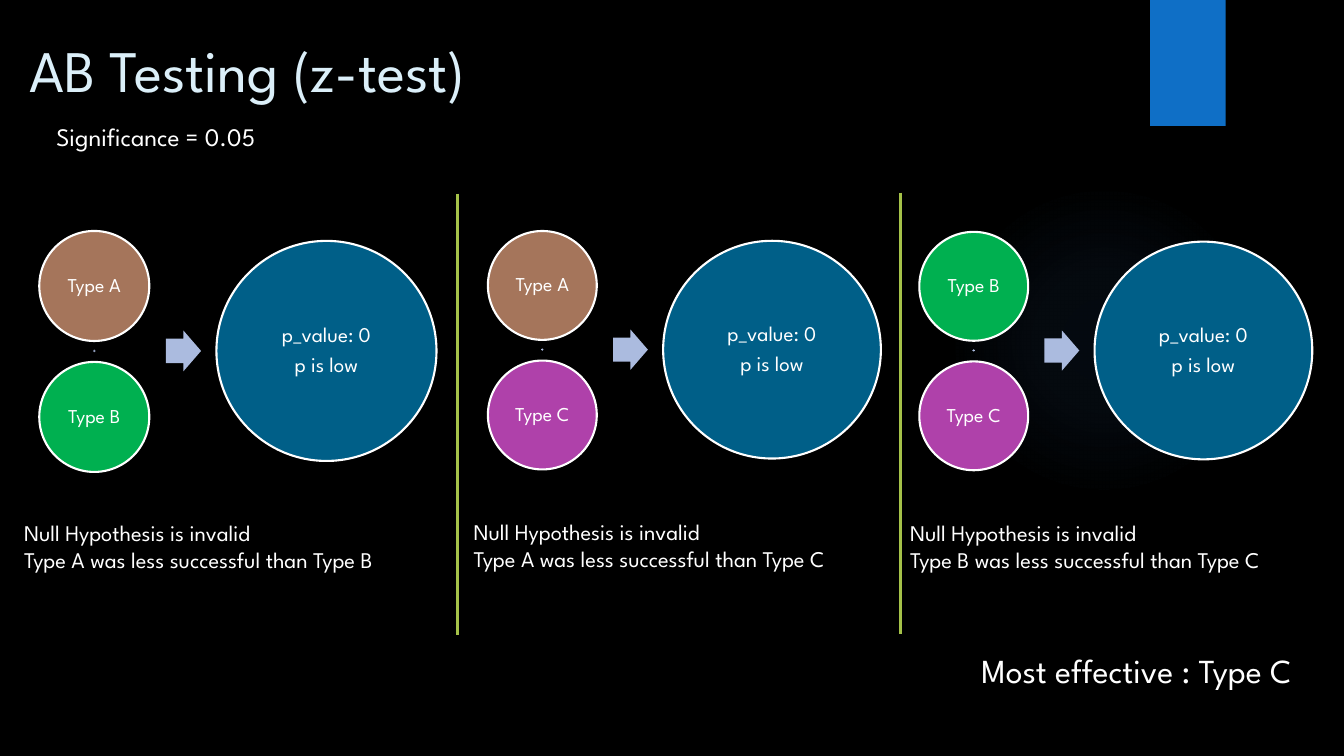
from dataclasses import dataclass

import pptx
import pptx.dml.color
import pptx.enum.shapes
import pptx.enum.text
import pptx.oxml
import pptx.oxml.ns
import pptx.presentation
import pptx.shapes.autoshape
import pptx.slide
import pptx.text.text
import pptx.util

RGBColor = pptx.dml.color.RGBColor
Shape = pptx.enum.shapes.MSO_SHAPE
Align = pptx.enum.text.PP_ALIGN
Anchor = pptx.enum.text.MSO_ANCHOR

# Square grid of 160 columns by 90 rows
COLUMNS, ROWS = 160, 90
CELL = pptx.util.Inches(13.33) / COLUMNS

FONT = "League Spartan"
BLACK = RGBColor(0x00, 0x00, 0x00)
WHITE = RGBColor(0xFF, 0xFF, 0xFF)
TITLE_BLUE = RGBColor(0xDB, 0xEF, 0xF9)
TAB_BLUE = RGBColor(0x0F, 0x6F, 0xC6)
GLOW_BLUE = RGBColor(0x44, 0x8A, 0xD7)
RESULT_BLUE = RGBColor(0x00, 0x5F, 0x88)
LAVENDER = RGBColor(0xAB, 0xBB, 0xDF)
LIME = RGBColor(0xA5, 0xC2, 0x49)
TYPE_COLORS = {
    "Type A": RGBColor(0xA5, 0x75, 0x5B),
    "Type B": RGBColor(0x00, 0xB0, 0x50),
    "Type C": RGBColor(0xAF, 0x41, 0xAA),
}


@dataclass(frozen=True)
class Box:
    left: float
    top: float
    width: float
    height: float

    def lengths(self) -> list[int]:
        return [grid(value) for value in (self.left, self.top, self.width, self.height)]


@dataclass(frozen=True)
class Comparison:
    loser: str
    winner: str
    left: float
    top: float
    diameter: float
    note_left: float
    note_top: float


@dataclass(frozen=True)
class Divider:
    column: float
    top: float
    bottom: float


COMPARISONS = [
    Comparison("Type A", "Type B", 4.68, 27.5, 13.1, 1.68, 61.2),
    Comparison("Type A", "Type C", 58.08, 27.5, 12.96, 55.2, 61.1),
    Comparison("Type B", "Type C", 109.44, 27.6, 12.96, 107.16, 61.2),
]
DIVIDERS = [Divider(54.48, 23.04, 75.6), Divider(107.16, 22.92, 75.48)]


def grid(cells: float) -> int:
    return round(cells * CELL)


def write(frame: pptx.text.text.TextFrame, lines: list[str], size: float,
          color: RGBColor = WHITE, align: Align = Align.LEFT) -> None:
    frame.word_wrap = True
    frame.text = "\n".join(lines)
    for paragraph in frame.paragraphs:
        paragraph.alignment = align
        paragraph.font.name = FONT
        paragraph.font.size = pptx.util.Pt(size)
        paragraph.font.color.rgb = color


def add_text(slide: pptx.slide.Slide, box: Box, lines: list[str], size: float,
             align: Align = Align.LEFT) -> None:
    text_box = slide.shapes.add_textbox(*box.lengths())
    write(text_box.text_frame, lines, size, align=align)


def add_shape(shapes, kind: Shape, box: Box,
              color: RGBColor) -> pptx.shapes.autoshape.Shape:
    shape = shapes.add_shape(kind, *box.lengths())
    shape.shadow.inherit = False
    shape.fill.solid()
    shape.fill.fore_color.rgb = color
    shape.line.fill.background()
    return shape


def add_circle(shapes, left: float, top: float, diameter: float, color: RGBColor,
               lines: list[str], size: float) -> None:
    circle = add_shape(shapes, Shape.OVAL, Box(left, top, diameter, diameter), color)
    circle.line.color.rgb = WHITE
    circle.line.width = pptx.util.Pt(1.5)
    frame = circle.text_frame
    write(frame, lines, size, align=Align.CENTER)
    frame.vertical_anchor = Anchor.MIDDLE
    inset = pptx.util.Inches(0.02)
    frame.margin_left = frame.margin_right = inset
    frame.margin_top = frame.margin_bottom = inset
    for paragraph in frame.paragraphs:
        paragraph.line_spacing = 0.9
        paragraph.space_after = pptx.util.Pt(0.35 * size)


def add_comparison(slide: pptx.slide.Slide, item: Comparison) -> None:
    shapes = slide.shapes.add_group_shape().shapes
    diameter = item.diameter
    middle = item.top + 1.09 * diameter

    # Compared types, joined by a tiny plus
    for row, name in enumerate((item.loser, item.winner)):
        add_circle(shapes, item.left, item.top + row * 1.19 * diameter, diameter,
                   TYPE_COLORS[name], [name], 14)
    plus = 0.03 * diameter
    add_shape(shapes, Shape.MATH_PLUS,
              Box(item.left + (diameter - plus) / 2, middle - plus / 2, plus, plus), LAVENDER)

    # Arrow to the test result
    height = 0.37 * diameter
    arrow = add_shape(shapes, Shape.RIGHT_ARROW,
                      Box(item.left + 1.15 * diameter, middle - height / 2,
                          0.32 * diameter, height), LAVENDER)
    arrow.adjustments[0] = 0.6
    arrow.adjustments[1] = 0.5
    add_circle(shapes, item.left + 1.61 * diameter, middle - diameter, 2 * diameter,
               RESULT_BLUE, ["p_value: 0", "p is low"], 15)

    # Conclusion below
    add_text(slide, Box(item.note_left, item.note_top, 52.56, 7.68),
             ["Null Hypothesis is invalid",
              f"{item.loser} was less successful than {item.winner}"], 16)


def add_glow(slide: pptx.slide.Slide, box: Box) -> None:
    glow = add_shape(slide.shapes, Shape.OVAL, box, GLOW_BLUE)
    stops = "".join(
        f'<a:gs pos="{position}000"><a:srgbClr val="{GLOW_BLUE}">'
        f'<a:alpha val="{alpha}000"/></a:srgbClr></a:gs>'
        for position, alpha in ((0, 7), (36, 6), (69, 0)))
    gradient = pptx.oxml.parse_xml(
        f'<a:gradFill {pptx.oxml.ns.nsdecls("a")}><a:gsLst>{stops}</a:gsLst>'
        '<a:path path="circle"><a:fillToRect l="50000" t="50000" r="50000" b="50000"/>'
        '</a:path></a:gradFill>')
    properties = glow.element.spPr
    properties.replace(properties.find(pptx.oxml.ns.qn("a:solidFill")), gradient)


def add_divider(slide: pptx.slide.Slide, divider: Divider) -> None:
    line = slide.shapes.add_connector(
        pptx.enum.shapes.MSO_CONNECTOR.STRAIGHT, grid(divider.column), grid(divider.top),
        grid(divider.column), grid(divider.bottom))
    line.line.color.rgb = LIME
    line.line.width = pptx.util.Pt(2.25)
    line.element.spPr.append(
        pptx.oxml.parse_xml(f'<a:effectLst {pptx.oxml.ns.nsdecls("a")}/>'))


def main() -> None:
    presentation = pptx.Presentation()
    presentation.slide_width = grid(COLUMNS)
    presentation.slide_height = grid(ROWS)
    slide = presentation.slides.add_slide(presentation.slide_layouts.get_by_name("Title Only"))
    slide.background.fill.solid()
    slide.background.fill.fore_color.rgb = BLACK

    # Backdrop
    add_glow(slide, Box(112.92, 21.96, 36.96, 36.96))
    add_shape(slide.shapes, Shape.RECTANGLE, Box(136.92, 0, 9, 15), TAB_BLUE)

    # Title and significance level
    title = slide.shapes.title
    title.left, title.top, title.width, title.height = Box(2.28, 3.36, 123.48, 16.08).lengths()
    write(title.text_frame, ["AB Testing (z-test)"], 42, TITLE_BLUE)
    title.text_frame.vertical_anchor = Anchor.TOP
    add_text(slide, Box(5.52, 13.8, 38.28, 4.8), ["Significance = 0.05"], 18)

    # Three pairwise tests
    for comparison in COMPARISONS:
        add_comparison(slide, comparison)
    for divider in DIVIDERS:
        add_divider(slide, divider)

    # Overall conclusion
    add_text(slide, Box(107.16, 76.8, 47.76, 6), ["Most effective : Type C"], 24, Align.RIGHT)
    presentation.save("out.pptx")


if __name__ == "__main__":
    main()
